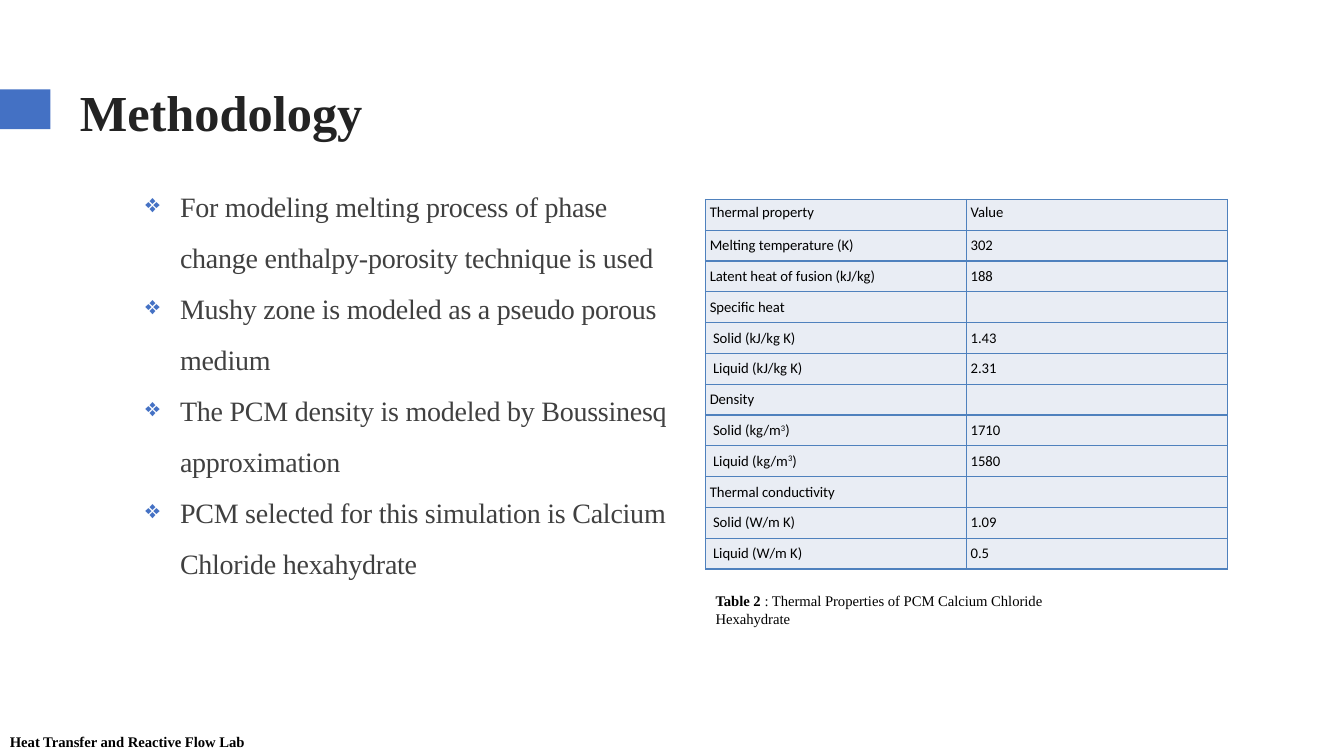
"""Build the Methodology slide with bullets and a table of thermal properties."""
from lxml import etree
from pptx import Presentation
from pptx.dml.color import RGBColor
from pptx.enum.shapes import MSO_SHAPE
from pptx.enum.text import MSO_ANCHOR
from pptx.oxml.ns import qn
from pptx.util import Pt

RECT = MSO_SHAPE.RECTANGLE
MIDDLE = MSO_ANCHOR.MIDDLE
PX = 9525
SERIF = "Times New Roman"
BLUE = "4471C4"


def style(font, size, color, bold=False, name=SERIF):
    font.name, font.size, font.bold = name, Pt(size), bold
    font.color.rgb = RGBColor.from_string(color)


def add_box(left, top, width, height, wrap=True):
    box = slide.shapes.add_textbox(left * PX, top * PX, width * PX, height * PX)
    box.text_frame.word_wrap = wrap
    return box.text_frame


deck = Presentation()
deck.slide_width, deck.slide_height = 1280 * PX, 720 * PX
slide = deck.slides.add_slide(deck.slide_layouts[6])

mark = slide.shapes.add_shape(RECT, 0, 85 * PX, 48 * PX, 38 * PX)
mark.shadow.inherit = False
mark.fill.solid()
mark.fill.fore_color.rgb = RGBColor.from_string(BLUE)
mark.line.fill.background()

title = add_box(76, 77, 708, 59)
title.margin_left = title.margin_top = title.margin_right = title.margin_bottom = 0
title.text = "Methodology"
style(title.paragraphs[0].font, 36, "232323", True)

points = [
    "For modeling melting process of phase change enthalpy-porosity technique is used",
    "Mushy zone is modeled as a pseudo porous medium",
    "The PCM density is modeled by Boussinesq approximation",
    "PCM selected for this simulation is Calcium Chloride hexahydrate",
]
body = add_box(128, 160, 520, 463)
body.text = "\n".join(points)
for i, para in enumerate(body.paragraphs):
    para.line_spacing = 1.5
    if i:
        para.space_before = Pt(0.9)
    props = para._p.get_or_add_pPr()
    props.set("marL", str(34 * PX))
    props.set("indent", str(-33 * PX))
    tint = etree.SubElement(props, qn("a:buClr"))
    etree.SubElement(tint, qn("a:srgbClr"), val=BLUE)
    etree.SubElement(props, qn("a:buSzPct"), val="91000")
    etree.SubElement(props, qn("a:buChar"), char="❖")
    tabs = etree.SubElement(props, qn("a:tabLst"))
    etree.SubElement(tabs, qn("a:tab"), pos=str(34 * PX), algn="l")
    style(para.font, 20, "404040")
    para.runs[0]._r.get_or_add_rPr().set("spc", "-20")

note = add_box(672, 559, 400, 43).paragraphs[0]
for text, bold in [("Table 2 ", True),
                   (": Thermal Properties of PCM Calcium Chloride Hexahydrate", False)]:
    run = note.add_run()
    run.text = text
    style(run.font, 10.5, "000000", bold)

rows = [
    ("Thermal property", "Value"),
    ("Melting temperature (K)", "302"),
    ("Latent heat of fusion (kJ/kg)", "188"),
    ("Specific heat", ""),
    (" Solid (kJ/kg K)", "1.43"),
    (" Liquid (kJ/kg K)", "2.31"),
    ("Density", ""),
    (" Solid (kg/m³)", "1710"),
    (" Liquid (kg/m³)", "1580"),
    ("Thermal conductivity", ""),
    (" Solid (W/m K)", "1.09"),
    (" Liquid (W/m K)", "0.5"),
]
wide, high = 497 * PX, 352 * PX
table = slide.shapes.add_table(len(rows), 2, 672 * PX, 190 * PX, wide, high).table
table.first_row = table.horz_banding = False
for col in table.columns:
    col.width = wide // 2
for r, row in enumerate(rows):
    table.rows[r].height = high // len(rows)
    for c, text in enumerate(row):
        cell = table.cell(r, c)
        cell.margin_left = cell.margin_right = 4 * PX
        cell.margin_top = cell.margin_bottom = 4 * PX
        if r:
            cell.vertical_anchor = MIDDLE
        props = cell._tc.get_or_add_tcPr()
        for side in ("lnL", "lnR", "lnT", "lnB"):
            edge = etree.SubElement(props, qn("a:" + side), w=str(Pt(1)))
            fill = etree.SubElement(edge, qn("a:solidFill"))
            etree.SubElement(fill, qn("a:srgbClr"), val="4F81BD")
        cell.fill.solid()
        cell.fill.fore_color.rgb = RGBColor.from_string("E9EDF4")
        para = cell.text_frame.paragraphs[0]
        style(para.font, 10.5, "000000", name="Calibri")
        if not text:
            etree.SubElement(para._p, qn("a:endParaRPr"), sz="1050")
            continue
        head, cube, tail = text.partition("³")
        para.add_run().text = head
        if cube:
            power = para.add_run()
            power.text = "3"
            power._r.get_or_add_rPr().set("baseline", "30000")
            para.add_run().text = tail

foot = add_box(0, 693, 248, 27, False)
foot.text = "Heat Transfer and Reactive Flow Lab"
style(foot.paragraphs[0].font, 10.5, "000000", True)

deck.save("out.pptx")
